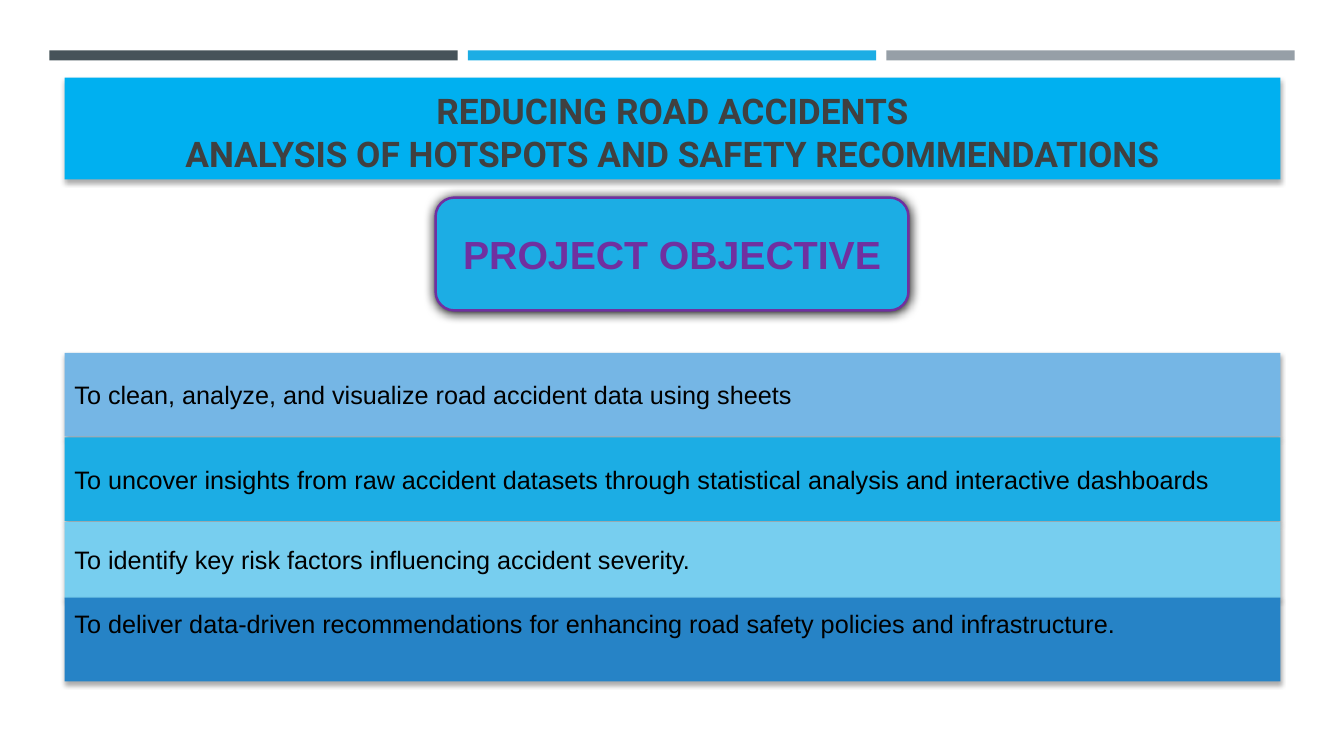
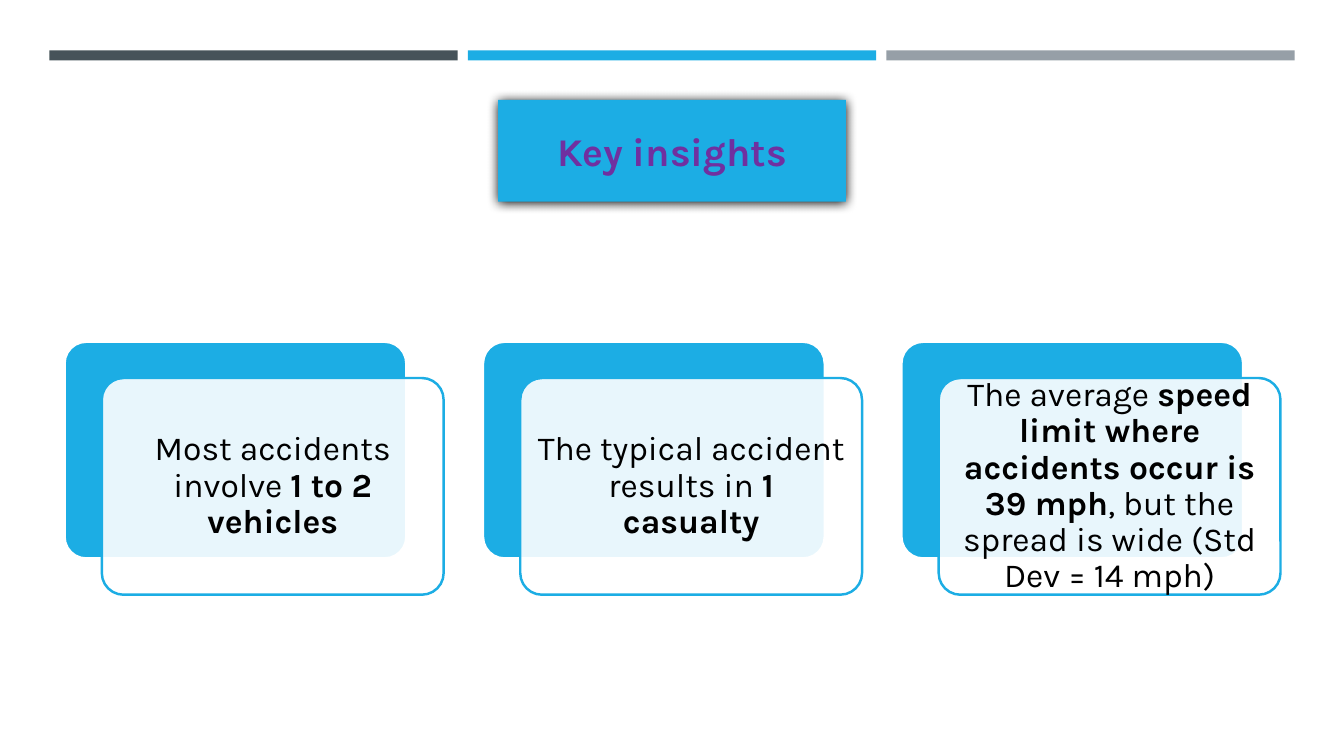
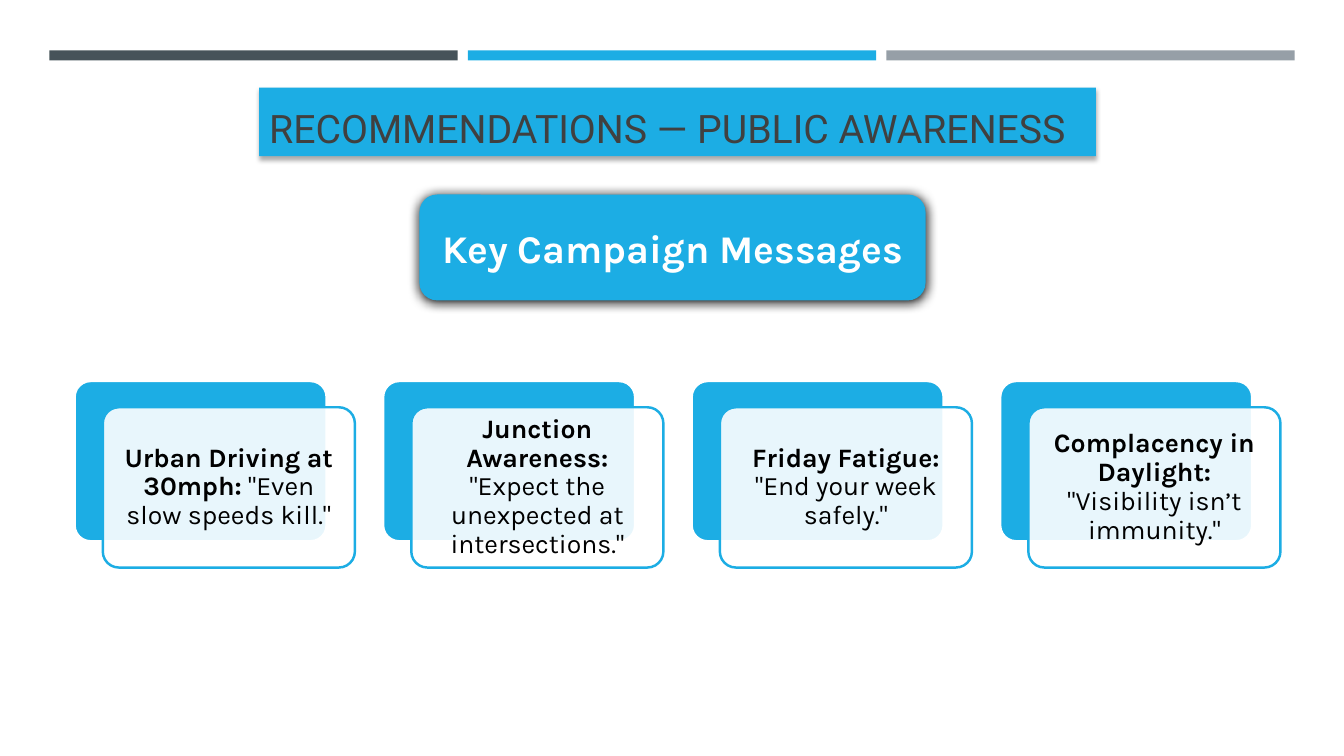
from lxml import etree
from pptx import Presentation
from pptx.dml.color import RGBColor
from pptx.enum.shapes import MSO_SHAPE
from pptx.enum.text import MSO_ANCHOR, MSO_AUTO_SIZE, PP_ALIGN
from pptx.oxml.ns import qn
from pptx.util import Emu, Pt

PX = 9144  # EMU per px, 100 px to the inch
SLIDE_WIDTH, SLIDE_HEIGHT = 1333, 750
CONTENT_LEFT, CONTENT_RIGHT = 64, 1270
CONTENT_WIDTH = CONTENT_RIGHT - CONTENT_LEFT

RECTANGLE, ROUNDED = MSO_SHAPE.RECTANGLE, MSO_SHAPE.ROUNDED_RECTANGLE
LEFT, CENTER = PP_ALIGN.LEFT, PP_ALIGN.CENTER
MIDDLE, BOTTOM = MSO_ANCHOR.MIDDLE, MSO_ANCHOR.BOTTOM
NO_AUTOFIT = MSO_AUTO_SIZE.NONE

BLACK = RGBColor(0x00, 0x00, 0x00)
WHITE = RGBColor(0xFF, 0xFF, 0xFF)
CHARCOAL = RGBColor(0x40, 0x40, 0x40)
SLATE = RGBColor(0x46, 0x53, 0x59)
GREY = RGBColor(0x96, 0x9F, 0xA7)
BLUE = RGBColor(0x1C, 0xAD, 0xE4)
BRIGHT_BLUE = RGBColor(0x00, 0xB0, 0xF0)
SOFT_BLUE = RGBColor(0x75, 0xB6, 0xE5)
PALE_BLUE = RGBColor(0x77, 0xCE, 0xEF)
DEEP_BLUE = RGBColor(0x26, 0x83, 0xC6)
PURPLE = RGBColor(0x70, 0x30, 0xA0)

# Opacity in percent, blur and distance in points
SOFT_SHADOW = (32, 3.5, 2.2)
STRONG_SHADOW = (100, 8.5, 1)

HEADING = {"name": "Roboto", "size": Pt(28), "color": CHARCOAL, "bold": False}
BADGE = {"name": "Karla", "size": Pt(28), "color": PURPLE, "bold": True}
STRIP = {"name": "Arial", "size": Pt(18), "color": BLACK, "bold": False}
CARD = {"name": "Karla", "size": Pt(24), "color": BLACK}

OBJECTIVES = [  # top, height, bottom margin, fill, text
    (350, 83, 5, SOFT_BLUE,
     "To clean, analyze, and visualize road accident data using sheets"),
    (434, 83, 5, BLUE,
     "To uncover insights from raw accident datasets through statistical "
     "analysis and interactive dashboards"),
    (518, 76, 7, PALE_BLUE,
     "To identify key risk factors influencing accident severity."),
    (593, 83, 37, DEEP_BLUE,
     "To deliver data-driven recommendations for enhancing road safety "
     "policies and infrastructure."),
]
INSIGHTS = [  # each card is a list of (text, bold) runs
    [("Most accidents involve ", False), ("1 to 2 vehicles", True)],
    [("The typical accident results in ", False), ("1 casualty", True)],
    [("The average ", False),
     ("speed limit where accidents occur is 39 mph", True),
     (", but the spread is wide (Std Dev = 14 mph)", False)],
]
MESSAGES = [
    [("Urban Driving at 30mph:", True), (' "Even slow speeds kill."', False)],
    [("Junction Awareness:", True),
     (' "Expect the unexpected at intersections."', False)],
    [("Friday Fatigue:", True), (' "End your week safely."', False)],
    [("Complacency in Daylight:", True),
     (' "Visibility isn’t immunity."', False)],
]


class Deck:
    """Holds the shared style and the slide being built."""

    def __init__(self):
        self.presentation = Presentation()
        self.presentation.slide_width = Emu(SLIDE_WIDTH * PX)
        self.presentation.slide_height = Emu(SLIDE_HEIGHT * PX)
        self.slide = None

    def new_slide(self):
        layout = self.presentation.slide_layouts[5]
        self.slide = self.presentation.slides.add_slide(layout)
        for index, color in enumerate((SLATE, BLUE, GREY)):
            self.shape((49 + index * 415, 50, 405, 10), RECTANGLE, color)

    def paint(self, shape, fill, line=None, shadow=None):
        shape.fill.solid()
        shape.fill.fore_color.rgb = fill
        if line is None:
            shape.line.fill.background()
        else:
            shape.line.color.rgb = line
            shape.line.width = Pt(1.75)
        shape.shadow.inherit = False
        if shadow:
            opacity, blur, distance = shadow
            effects = shape.element.spPr.find(qn("a:effectLst"))
            outer = etree.SubElement(
                effects, qn("a:outerShdw"), blurRad=str(Pt(blur)),
                dist=str(Pt(distance)), dir="5400000", rotWithShape="0")
            color = etree.SubElement(outer, qn("a:srgbClr"), val="000000")
            etree.SubElement(color, qn("a:alpha"), val=str(opacity * 1000))

    def shape(self, box, preset, fill, **paint):
        shape = self.slide.shapes.add_shape(
            preset, *(Emu(length * PX) for length in box))
        self.paint(shape, fill, **paint)
        return shape

    def set_text(self, shape, paragraphs, style, align=CENTER, anchor=MIDDLE,
                 margins=(10, 5, 10, 5), spacing=1.0):
        """Fill a shape with paragraphs, each a list of (text, format) runs."""
        frame = shape.text_frame
        settings = {"word_wrap": True, "auto_size": NO_AUTOFIT,
                    "vertical_anchor": anchor}
        sides = ("left", "top", "right", "bottom")
        for side, margin in zip(sides, margins):
            settings[f"margin_{side}"] = Emu(margin * PX)
        for name, value in settings.items():
            setattr(frame, name, value)
        for index, runs in enumerate(paragraphs):
            paragraph = frame.add_paragraph() if index else frame.paragraphs[0]
            paragraph.alignment = align
            paragraph.line_spacing = spacing
            for text, changes in runs:
                run = paragraph.add_run()
                run.text = text
                for name, value in {**style, **changes}.items():
                    if name == "color":
                        run.font.color.rgb = value
                    else:
                        setattr(run.font, name, value)

    def title(self, box, lines, style, fill=BLUE, preset="roundRect",
              shadow=SOFT_SHADOW, align=CENTER, anchor=BOTTOM):
        title = self.slide.shapes.title
        for name, length in zip(("left", "top", "width", "height"), box):
            setattr(title, name, Emu(length * PX))
        geometry = etree.SubElement(
            title.element.spPr, qn("a:prstGeom"), prst=preset)
        etree.SubElement(geometry, qn("a:avLst"))
        self.paint(title, fill, shadow=shadow)
        self.set_text(title, [[(line, {})] for line in lines], style,
                      align=align, anchor=anchor)

    def badge(self, box, text, line=None, **changes):
        badge = self.shape(box, ROUNDED, BLUE, line=line, shadow=STRONG_SHADOW)
        self.set_text(badge, [[(text, changes)]], BADGE)

    def strip(self, top, height, bottom_margin, fill, text):
        strip = self.shape((CONTENT_LEFT, top, CONTENT_WIDTH, height),
                           RECTANGLE, fill, shadow=SOFT_SHADOW)
        self.set_text(strip, [[(text, {})]], STRIP, align=LEFT,
                      margins=(10, 5, 10, bottom_margin))

    def card_row(self, cards, left, top, width, height, offset, size, margin):
        """Spread cards evenly from left to the right content edge."""
        right_shift, down_shift = offset
        span = CONTENT_RIGHT - left - width - right_shift
        pitch = span // (len(cards) - 1)
        for index, runs in enumerate(cards):
            x = left + index * pitch
            back = self.shape((x, top, width, height), ROUNDED, BLUE,
                              line=WHITE)
            front = self.shape(
                (x + right_shift, top + down_shift, width, height),
                ROUNDED, WHITE, line=BLUE)
            for layer in (back, front):
                layer.adjustments[0] = 0.1
            color = front.element.spPr.find(qn("a:solidFill"))[0]
            etree.SubElement(color, qn("a:alpha"), val="90000")
            card_runs = [(text, {"bold": bold}) for text, bold in runs]
            self.set_text(front, [card_runs], {**CARD, "size": Pt(size)},
                          margins=(margin,) * 4, spacing=0.9)


def main():
    deck = Deck()

    deck.new_slide()
    deck.title((CONTENT_LEFT, 77, CONTENT_WIDTH, 101),
               ["REDUCING ROAD ACCIDENTS",
                "ANALYSIS OF HOTSPOTS AND SAFETY RECOMMENDATIONS"],
               {**HEADING, "size": Pt(25.2), "bold": True},
               fill=BRIGHT_BLUE, preset="rect")
    for objective in OBJECTIVES:
        deck.strip(*objective)
    deck.badge((432, 196, 469, 112), "PROJECT OBJECTIVE", line=PURPLE,
               name="Arial")

    deck.new_slide()
    deck.title((494, 99, 345, 101), ["Key insights"], BADGE,
               shadow=STRONG_SHADOW, anchor=MIDDLE)
    deck.card_row(INSIGHTS, left=64, top=339, width=339, height=215,
                  offset=(37, 36), size=24, margin=10)

    deck.new_slide()
    deck.title((257, 87, 830, 68), ["RECOMMENDATIONS — PUBLIC AWARENESS"],
               HEADING, align=LEFT)
    deck.card_row(MESSAGES, left=74, top=378, width=250, height=159,
                  offset=(28, 26), size=19, margin=8)
    deck.badge((416, 193, 502, 105), "Key Campaign Messages", color=WHITE)

    deck.presentation.save("out.pptx")


if __name__ == "__main__":
    main()
